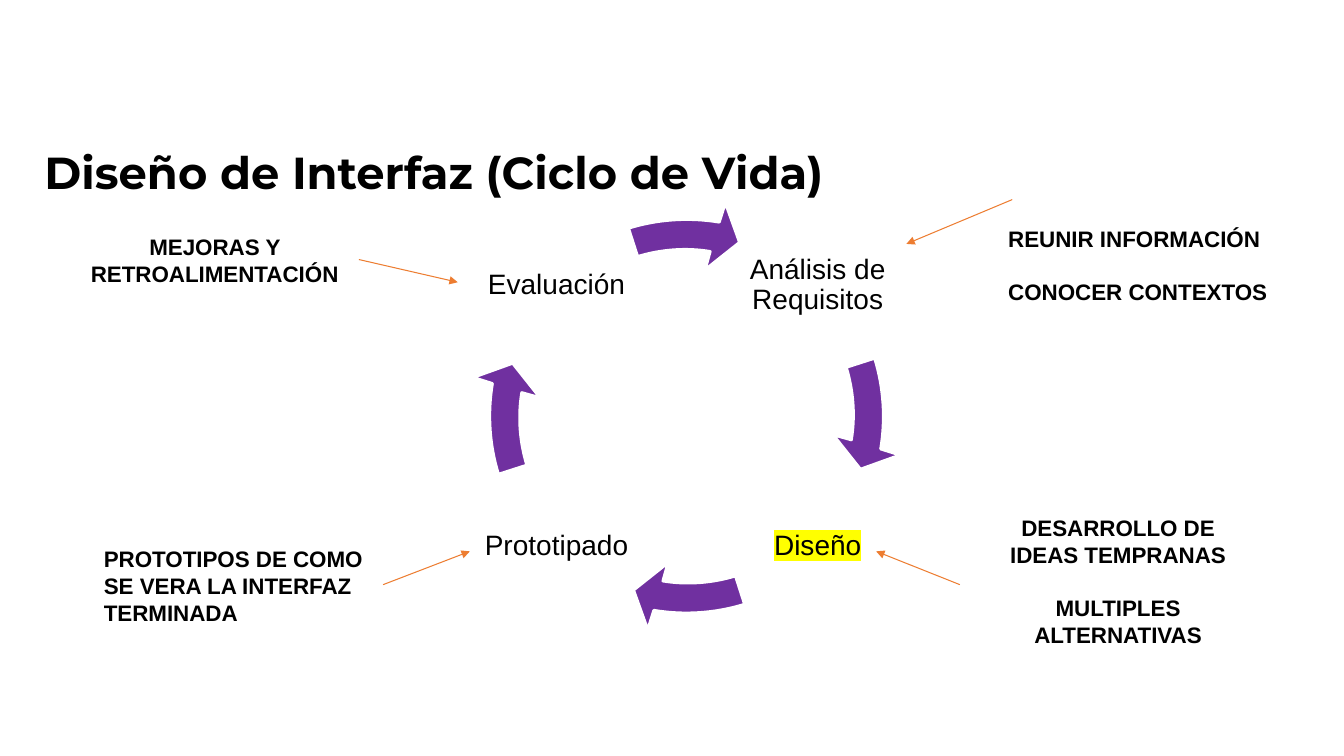
from lxml.etree import SubElement
from pptx import Presentation
from pptx.dml.color import RGBColor as Rgb
from pptx.enum.shapes import MSO_CONNECTOR as Link
from pptx.enum.text import MSO_ANCHOR as Anchor, MSO_AUTO_SIZE as Fit, PP_ALIGN as Align
from pptx.oxml.ns import qn
from pptx.util import Pt

PX = 9144
COLORS = {"text": "000000", "ring": "7030A0", "edge": "FFFFFF",
          "arrow": "ED7D31", "mark": "FFFF00"}
BEND = [("moveTo", [(186.5, -57.5)]),
        ("cubicBezTo", [(195.5, -28.5), (197.5, 2.5), (192.5, 32.5)]),
        ("lnTo", [(211.5, 38.5)]),
        ("lnTo", [(172.5, 52.5)]),
        ("lnTo", [(145.5, 18.5)]),
        ("lnTo", [(163.5, 23.5)]),
        ("cubicBezTo", [(167.5, -0.5), (165.5, -25.5), (158.5, -48.5)])]


class Deck:
    def __init__(self, wide, high):
        self.prs = Presentation()
        self.prs.slide_width = wide * PX
        self.prs.slide_height = high * PX
        self.slide = self.prs.slides.add_slide(self.prs.slide_layouts[5])
        self.shapes = self.slide.shapes

    def color(self, name):
        return Rgb.from_string(COLORS[name])

    def fill_text(self, box, lines, size, font="Arial", bold=False, align=Align.LEFT,
                  pad=(13, 7), anchor=Anchor.TOP, fit=Fit.SHAPE_TO_FIT_TEXT,
                  pitch=None, gap=0, mark=False):
        frame = box.text_frame
        frame.word_wrap = True
        frame.auto_size = fit
        frame.vertical_anchor = anchor
        frame.margin_left = frame.margin_right = pad[0] * PX
        frame.margin_top = frame.margin_bottom = pad[1] * PX
        for i, line in enumerate(lines):
            para = frame.add_paragraph() if i else frame.paragraphs[0]
            para.alignment = align
            para.line_spacing = pitch
            para.space_before = Pt(gap if i else 0)
            run = para.add_run()
            run.text = line
            run.font.size = Pt(size)
            run.font.bold = bold
            run.font.color.rgb = self.color("text")
            if mark:
                glow = SubElement(run.font.fill._xPr, qn("a:highlight"))
                SubElement(glow, qn("a:srgbClr"), val=COLORS["mark"])
            run.font.name = font

    def title(self, text, x, y, w, h):
        box = self.shapes.title
        box.left, box.top, box.width, box.height = (v * PX for v in (x, y, w, h))
        self.fill_text(box, [text], 32, "Montserrat", True)

    def phase(self, text, x, y, mark=False):
        box = self.shapes.add_textbox(x * PX, y * PX, 152 * PX, 152 * PX)
        self.fill_text(box, [text], 20, align=Align.CENTER, pad=(3, 3),
                       anchor=Anchor.MIDDLE, fit=Fit.NONE, pitch=0.9, mark=mark)

    def note(self, lines, x, y, h, align):
        box = self.shapes.add_textbox(x * PX, y * PX, 286 * PX, h * PX)
        self.fill_text(box, lines, 16, bold=True, align=align, gap=19)
        return box

    def bend(self, x, y, size, turns):
        span = size * PX
        pen = self.shapes.build_freeform(x * PX, y * PX)
        pen.add_line_segments([(x * PX + span, y * PX + span)])
        shape = pen.convert_to_shape()
        track = next(shape._element.iter(qn("a:path")))
        for step in list(track):
            track.remove(step)
        for kind, dots in BEND:
            step = SubElement(track, qn("a:" + kind))
            for dx, dy in dots:
                for _ in range(turns):
                    dx, dy = -dy, dx
                SubElement(step, qn("a:pt"), x=str(round(dx * PX + span / 2)),
                           y=str(round(dy * PX + span / 2)))
        SubElement(track, qn("a:close"))
        shape.shadow.inherit = False
        shape.fill.solid()
        shape.fill.fore_color.rgb = self.color("ring")
        shape.line.color.rgb = self.color("edge")
        shape.line.width = Pt(2)

    def arrow(self, x1, y1, x2, y2):
        link = self.shapes.add_connector(
            Link.STRAIGHT, x1 * PX, y1 * PX, x2 * PX, y2 * PX)
        link.line.color.rgb = self.color("arrow")
        link.line.width = Pt(0.75)
        SubElement(link.line._get_or_add_ln(), qn("a:tailEnd"), type="triangle")
        SubElement(link._element.spPr, qn("a:effectLst"))
        return link


def main():
    deck = Deck(1333, 750)
    deck.title("Diseño de Interfaz (Ciclo de Vida)", 31, 137, 1098, 67)

    left, right, top, low = 476, 735, 207, 466
    phases = [("Análisis de Requisitos", right, top), ("Diseño", right, low, True),
              ("Prototipado", left, low), ("Evaluación", left, top)]
    for turns, phase in enumerate(phases):
        deck.phase(*phase)
        deck.bend(466, 198, 430, turns)

    deck.arrow(1004, 198, 899, 242)
    deck.arrow(952, 580, 869, 547)
    back = deck.arrow(357, 258, 454, 280)
    deck.arrow(380, 580, 466, 547)

    deck.note(["DESARROLLO DE IDEAS TEMPRANAS", "MULTIPLES ALTERNATIVAS"],
              966, 503, 148, Align.CENTER)
    deck.note(["PROTOTIPOS DE COMO SE VERA LA INTERFAZ TERMINADA"],
              90, 534, 94, Align.LEFT)
    better = deck.note(["MEJORAS Y RETROALIMENTACIÓN"], 70, 224, 67, Align.CENTER)
    deck.note(["REUNIR INFORMACIÓN", "CONOCER CONTEXTOS"], 987, 216, 94, Align.LEFT)
    back.begin_connect(better, 3)
    deck.prs.save("out.pptx")


if __name__ == "__main__":
    main()
